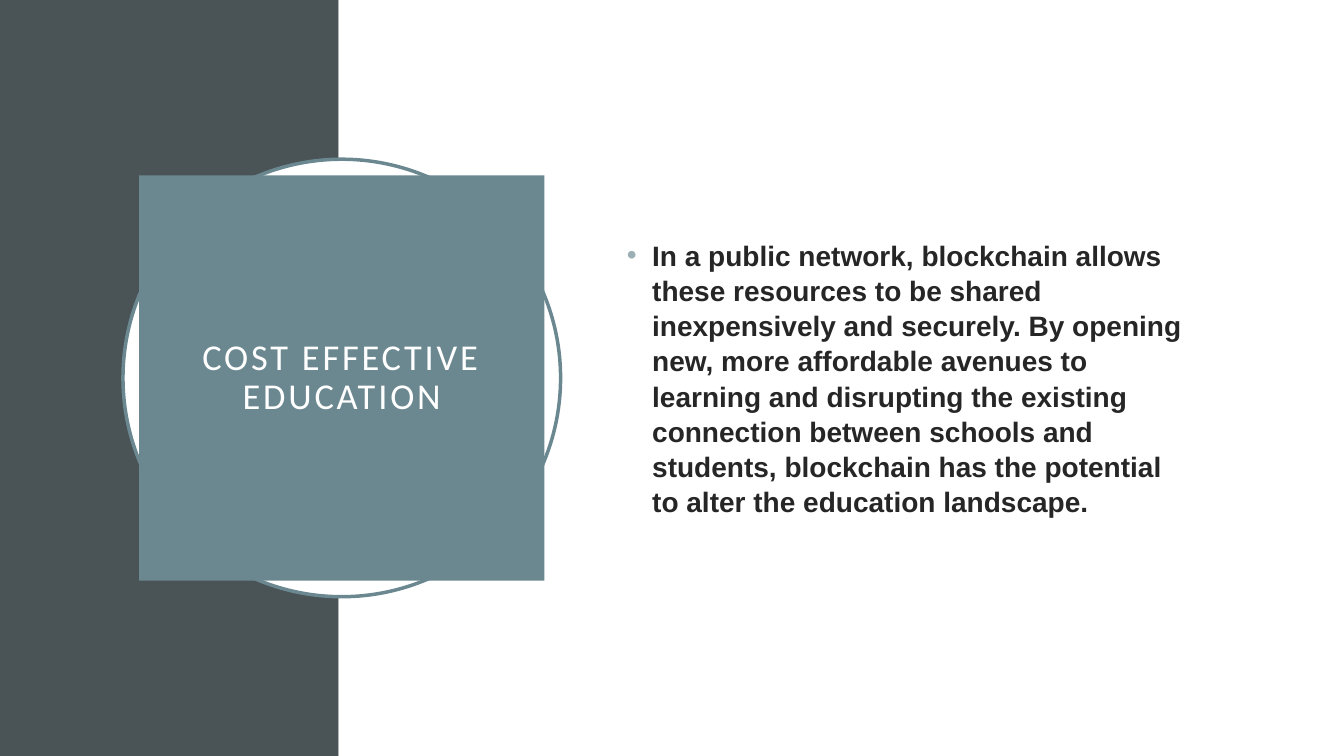
from pptx import Presentation
from pptx.dml.color import RGBColor as Rgb
from pptx.enum.shapes import MSO_SHAPE as Kind
from pptx.enum.text import MSO_ANCHOR as Anchor, MSO_AUTO_SIZE as Auto, PP_ALIGN as Align
from pptx.oxml import parse_xml
from pptx.oxml.ns import nsdecls
from pptx.util import Inches, Pt

WIDE, HIGH = 13.33, 7.5
SPLIT = 3.36
COLORS = {"dark": "4A5356", "white": "FFFFFF", "teal": "6B8891",
          "dot": "9BAFB5", "ink": "262626"}
HEAD = "COST EFFECTIVE EDUCATION"
BODY = ("In a public network, blockchain allows these resources to be shared "
        "inexpensively and securely. By opening new, more affordable avenues to "
        "learning and disrupting the existing connection between schools and "
        "students, blockchain has the potential to alter the education landscape.")


def tint(name):
    return Rgb.from_string(COLORS[name])


def apply(item, values):
    for key, value in values.items():
        setattr(item, key, value)


def place(item, box):
    apply(item, dict(zip(("left", "top", "width", "height"), map(Inches, box))))


def paint(item, fill, line=None):
    item.fill.solid()
    item.fill.fore_color.rgb = tint(fill)
    if line:
        item.line.color.rgb = tint(line)
        item.line.width = Pt(2.5)
    else:
        item.line.fill.background()


def add_form(slide, kind, box, fill, line=None):
    form = slide.shapes.add_shape(kind, *map(Inches, box))
    form.shadow.inherit = False
    paint(form, fill, line)


def write(frame, text, font, color, para):
    apply(frame, {"word_wrap": True, "auto_size": Auto.NONE,
                  "vertical_anchor": Anchor.MIDDLE})
    first = frame.paragraphs[0]
    apply(first, para)
    run = first.add_run()
    run.text = text
    apply(run.font, font)
    run.font.color.rgb = tint(color)
    return first, run


def add_panels(slide, box):
    left, top, width, height = box
    add_form(slide, Kind.RECTANGLE, (left, top, SPLIT, height), "dark")
    add_form(slide, Kind.RECTANGLE, (left + SPLIT, top, width - SPLIT, height), "white")


def add_title(slide, box):
    left, top, width, height = box
    gap = 0.16
    add_form(slide, Kind.OVAL, box, "white", "teal")
    title = slide.shapes.title
    place(title, (left + gap, top + gap, width - 2 * gap, height - 2 * gap))
    paint(title, "teal")
    slide.shapes.element.append(title.element)
    frame = title.text_frame
    sides = ("left", "top", "right", "bottom")
    apply(frame, {f"margin_{side}": Inches(0.2) for side in sides})
    _, run = write(frame, HEAD, {"name": "Calibri", "size": Pt(26)}, "white",
                   {"alignment": Align.CENTER, "line_spacing": 0.9})
    run.font._element.set("spc", "200")


def add_body(slide, box):
    area = slide.shapes.add_textbox(*map(Inches, box))
    para, _ = write(area.text_frame, BODY,
                    {"name": "Arial", "size": Pt(20), "bold": True}, "ink",
                    {"space_before": Pt(10), "line_spacing": 1.05})
    props = para._p.get_or_add_pPr()
    indent = Inches(0.25)
    props.set("marL", str(indent))
    props.set("indent", str(-indent))
    for mark in (f'<a:buClr {nsdecls("a")}><a:srgbClr val="{COLORS["dot"]}"/></a:buClr>',
                 f'<a:buFont {nsdecls("a")} typeface="Arial"/>',
                 f'<a:buChar {nsdecls("a")} char="•"/>'):
        props.append(parse_xml(mark))


def main():
    deck = Presentation()
    apply(deck, {"slide_width": Inches(WIDE), "slide_height": Inches(HIGH)})
    slide = deck.slides.add_slide(deck.slide_layouts[5])
    add_panels(slide, (0, 0, WIDE, HIGH))
    add_title(slide, (1.22, 1.58, 4.34, 4.34))
    add_body(slide, (6.12, 1.53, 5.82, 4.43))
    deck.save("out.pptx")


if __name__ == "__main__":
    main()
